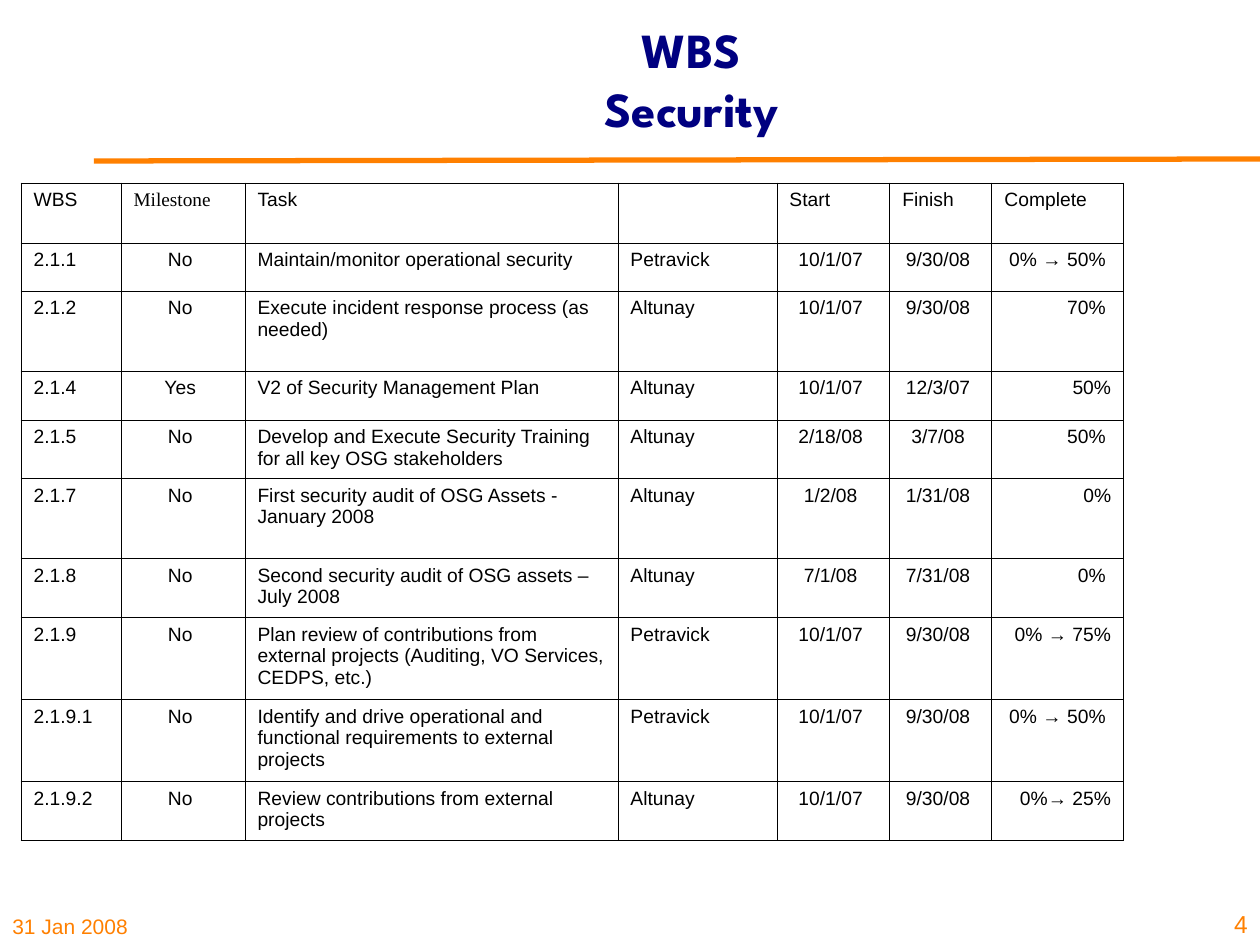
from lxml import etree
from pptx import Presentation
from pptx.dml.color import RGBColor
from pptx.enum.shapes import MSO_CONNECTOR
from pptx.enum.text import MSO_ANCHOR, PP_ALIGN
from pptx.oxml.ns import qn
from pptx.util import Emu, Pt

LEFT, CENTER, RIGHT = PP_ALIGN.LEFT, PP_ALIGN.CENTER, PP_ALIGN.RIGHT
MIDDLE, BOTTOM = MSO_ANCHOR.MIDDLE, MSO_ANCHOR.BOTTOM
STRAIGHT = MSO_CONNECTOR.STRAIGHT

PX_PER_INCH = 126
ORANGE, NAVY, BLACK = "FF8000", "000080", "000000"
BORDER_PT = 0.45

COLUMN_WIDTHS = [100, 124, 373, 159, 113, 102, 132]
ROW_HEIGHTS = [60, 48, 80, 49, 58, 80, 59, 82, 81, 59]
COLUMN_ALIGNS = [LEFT, CENTER, LEFT, LEFT, CENTER, CENTER, RIGHT]
HEADER = ["WBS", "Milestone", "Task", "", "Start", "Finish", "Complete"]
TASKS = [
    ["2.1.1", "No ", "Maintain/monitor operational security",
     "Petravick", "10/1/07 ", "9/30/08 ", "0% → 50% "],
    ["2.1.2", "No ", "Execute incident response process (as needed)",
     "Altunay", "10/1/07 ", "9/30/08 ", "70% "],
    ["2.1.4", "Yes ", "V2 of Security Management Plan",
     "Altunay", "10/1/07 ", "12/3/07 ", "50%"],
    ["2.1.5", "No ", "Develop and Execute Security Training for all key OSG stakeholders",
     "Altunay", "2/18/08 ", "3/7/08 ", "50% "],
    ["2.1.7", "No ", "First security audit of OSG Assets - January 2008",
     "Altunay", "1/2/08 ", "1/31/08 ", "0%"],
    ["2.1.8", "No ", "Second security audit of OSG assets – July 2008",
     "Altunay", "7/1/08 ", "7/31/08 ", "0% "],
    ["2.1.9", "No ", "Plan review of contributions from external projects "
     "(Auditing, VO Services, CEDPS, etc.)",
     "Petravick", "10/1/07 ", "9/30/08 ", "0% → 75%"],
    ["2.1.9.1", "No ", "Identify and drive operational and functional "
     "requirements to external projects",
     "Petravick", "10/1/07 ", "9/30/08 ", "0% → 50% "],
    ["2.1.9.2", "No ", "Review contributions from external projects",
     "Altunay", "10/1/07 ", "9/30/08 ", "0%→ 25%"],
]


def px(length):
    return Emu(round(length * 914400 / PX_PER_INCH))


def color(hex_value):
    return RGBColor.from_string(hex_value)


def write(frame, text, size=11, font="Arial", fill=BLACK, bold=False, align=LEFT):
    """Fill the first paragraph of a text frame; a vertical tab breaks the line."""
    paragraph = frame.paragraphs[0]
    paragraph.text = text
    paragraph.alignment = align
    for run in paragraph.runs:
        run.font.size = Pt(size)
        run.font.name = font
        run.font.bold = bold
        run.font.color.rgb = color(fill)


def add_text(slide, box, text, anchor, **text_format):
    frame = slide.shapes.add_textbox(*map(px, box)).text_frame
    frame.word_wrap = True
    frame.vertical_anchor = anchor
    write(frame, text, **text_format)


def add_heading(slide, box):
    """Title with the orange rule that runs below it to the slide's right edge."""
    left, top, width, height = box
    add_text(slide, box, "WBS \vSecurity ", MIDDLE, size=28,
             font="League Spartan", fill=NAVY, bold=True, align=CENTER)
    rule_y = top + height + 3
    rule = slide.shapes.add_connector(
        STRAIGHT, px(left - 125), px(rule_y + 1), px(left + width + 83), px(rule_y - 1))
    rule.line.color.rgb = color(ORANGE)
    rule.line.width = Pt(3)
    etree.SubElement(rule._element.spPr, qn("a:effectLst"))


def outline_cell(cell):
    properties = cell._tc.get_or_add_tcPr()
    for side in ("a:lnL", "a:lnR", "a:lnT", "a:lnB"):
        border = etree.SubElement(properties, qn(side), w=str(Pt(BORDER_PT)))
        solid = etree.SubElement(border, qn("a:solidFill"))
        etree.SubElement(solid, qn("a:srgbClr"), val=BLACK)
    cell.fill.background()


def add_task_table(slide, left, top):
    table = slide.shapes.add_table(
        len(ROW_HEIGHTS), len(COLUMN_WIDTHS), px(left), px(top),
        px(sum(COLUMN_WIDTHS)), px(sum(ROW_HEIGHTS))).table
    table.first_row = False
    table.horz_banding = False
    for column, width in zip(table.columns, COLUMN_WIDTHS):
        column.width = px(width)
    for row, height in zip(table.rows, ROW_HEIGHTS):
        row.height = px(height)
    for r, values in enumerate([HEADER] + TASKS):
        for c, value in enumerate(values):
            cell = table.cell(r, c)
            outline_cell(cell)
            write(cell.text_frame, value,
                  font="Times New Roman" if value == "Milestone" else "Arial",
                  align=COLUMN_ALIGNS[c] if r else LEFT)


def add_footer(slide, left, bottom, width):
    add_text(slide, (left, bottom - 53, 312, 53), "31 Jan 2008", BOTTOM,
             size=12, fill=ORANGE)
    add_text(slide, (left + width - 58, bottom - 63, 58, 63), "4", BOTTOM,
             size=14, fill=ORANGE, align=RIGHT)


def main():
    deck = Presentation()
    deck.slide_width, deck.slide_height = px(1260), px(945)
    slide = deck.slides.add_slide(deck.slide_layouts[6])
    add_heading(slide, (219, 0, 958, 157))
    add_task_table(slide, 21, 183)
    add_footer(slide, 0, 945, 1260)
    deck.save("out.pptx")


if __name__ == "__main__":
    main()
